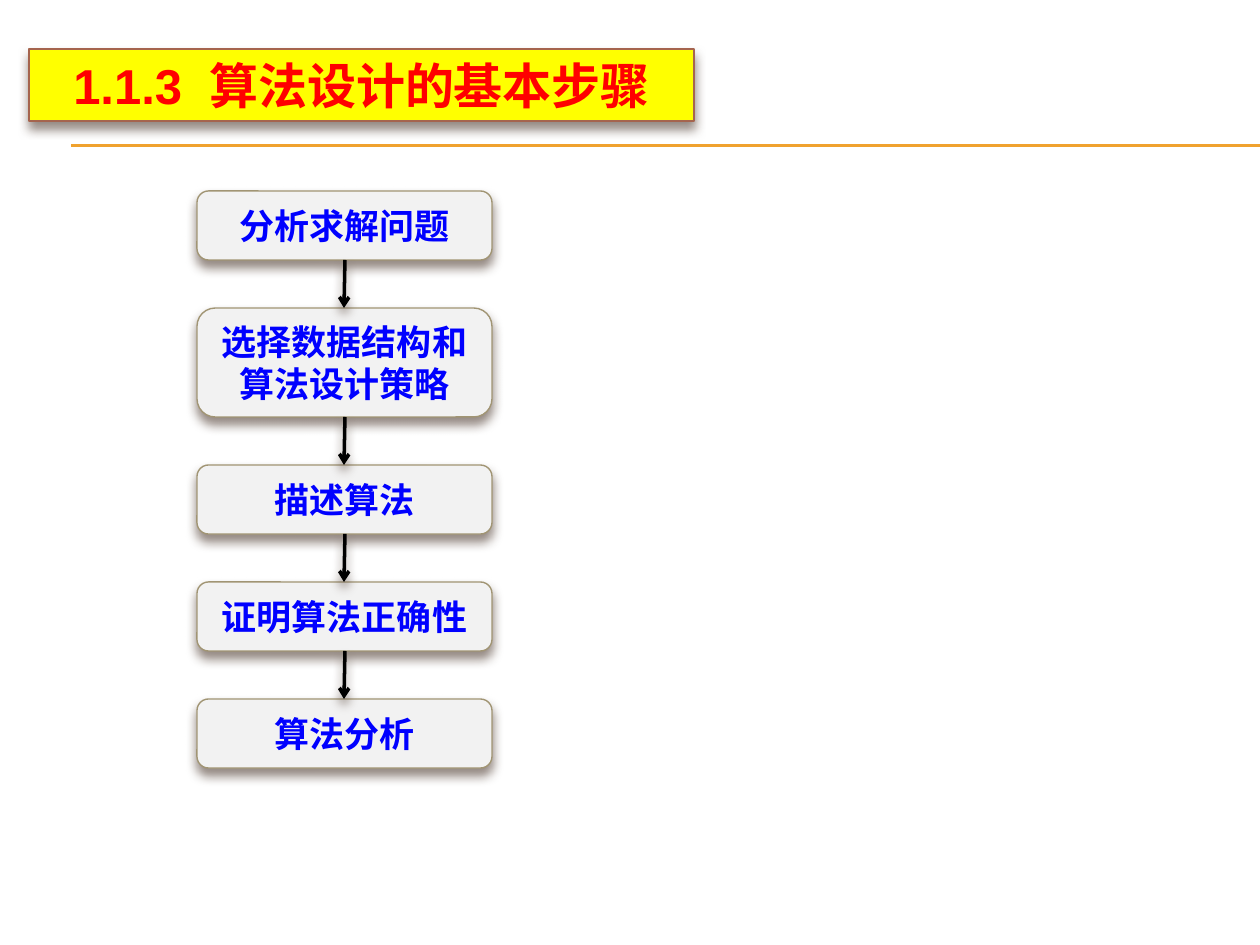
from lxml import etree
from pptx import Presentation, util as u
from pptx.dml.color import RGBColor
from pptx.enum import shapes as es, text as et
from pptx.oxml import parse_xml
from pptx.oxml.ns import nsdecls, qn

HUE = {"rule": "F0A22E", "head": "FFFF00", "edge": "A5644E", "red": "FF0000",
       "box": "F2F2F2", "rim": "A19574", "blue": "0000FF", "ink": "000000",
       "shade": "4E3B30"}
SHADE = f'''<a:effectLst {nsdecls("a")}>
  <a:outerShdw blurRad="76200" dist="50800" dir="5400000" rotWithShape="0">
    <a:srgbClr val="{HUE["shade"]}"><a:alpha val="60000"/></a:srgbClr>
  </a:outerShdw></a:effectLst>'''
PX = 914400 / 126


def line(x1, y1, x2, y2, hue, pts):
    ends = [u.Emu(round(n * PX)) for n in (x1, y1, x2, y2)]
    bar = slide.shapes.add_connector(es.MSO_CONNECTOR.STRAIGHT, *ends)
    bar.line.color.rgb = RGBColor.from_string(HUE[hue])
    bar.line.width = u.Pt(pts)
    return bar


def panel(kind, spot, fill, rim, runs, font, size, hue):
    area = [u.Emu(round(n * PX)) for n in spot]
    box = slide.shapes.add_shape(kind, *area)
    box.fill.solid()
    box.fill.fore_color.rgb = RGBColor.from_string(HUE[fill])
    box.line.color.rgb = RGBColor.from_string(HUE[rim])
    box.line.width = u.Pt(0.79)
    box._element.spPr.append(parse_xml(SHADE))
    look = {"word_wrap": True, "vertical_anchor": et.MSO_ANCHOR.MIDDLE,
            "margin_top": 0, "margin_bottom": 0}
    for key, val in look.items():
        setattr(box.text_frame, key, val)
    para = box.text_frame.paragraphs[0]
    para.alignment = et.PP_ALIGN.CENTER
    for words in runs:
        run = para.add_run()
        run.text = words
        for key, val in {"name": font, "size": u.Pt(size), "bold": True}.items():
            setattr(run.font, key, val)
        run.font.color.rgb = RGBColor.from_string(HUE[hue])
        east = etree.SubElement(run._r.get_or_add_rPr(), qn("a:ea"))
        east.set("typeface", "Noto Sans CJK SC")
    return para


deck = Presentation()
deck.slide_width, deck.slide_height = u.Inches(10), u.Inches(7.5)
slide = deck.slides.add_slide(deck.slide_layouts[6])

# Double rule under the heading
for y in (145, 146):
    rule = line(71, y, 1260, y, "rule", 0.75)
    etree.SubElement(rule._element.spPr, qn("a:effectLst"))

# Heading, with a widened space after the number
head = panel(es.MSO_SHAPE.RECTANGLE, (29, 49, 665, 72), "head", "edge",
             ["1.1.3", " ", "算法设计的基本步骤"], "Arial", 28, "red")
head.runs[1]._r.get_or_add_rPr().set("spc", "780")

# Steps from top to bottom, joined by arrows
LEFT, WIDE, GAP = 197, 295, 48
steps = [("分析求解问题", 69), ("选择数据结构和算法设计策略", 109),
         ("描述算法", 69), ("证明算法正确性", 69), ("算法分析", 69)]
top = 191
for i, (words, tall) in enumerate(steps):
    panel(es.MSO_SHAPE.ROUNDED_RECTANGLE, (LEFT, top, WIDE, tall), "box", "rim",
          [words], "Noto Sans CJK SC", 20, "blue")
    if i:
        link = line(345, top - GAP, 344, top, "ink", 2)
        tip = etree.SubElement(link.line._get_or_add_ln(), qn("a:tailEnd"))
        tip.set("type", "arrow")
        link._element.spPr.append(parse_xml(SHADE))
    top += tall + GAP

deck.save("out.pptx")
